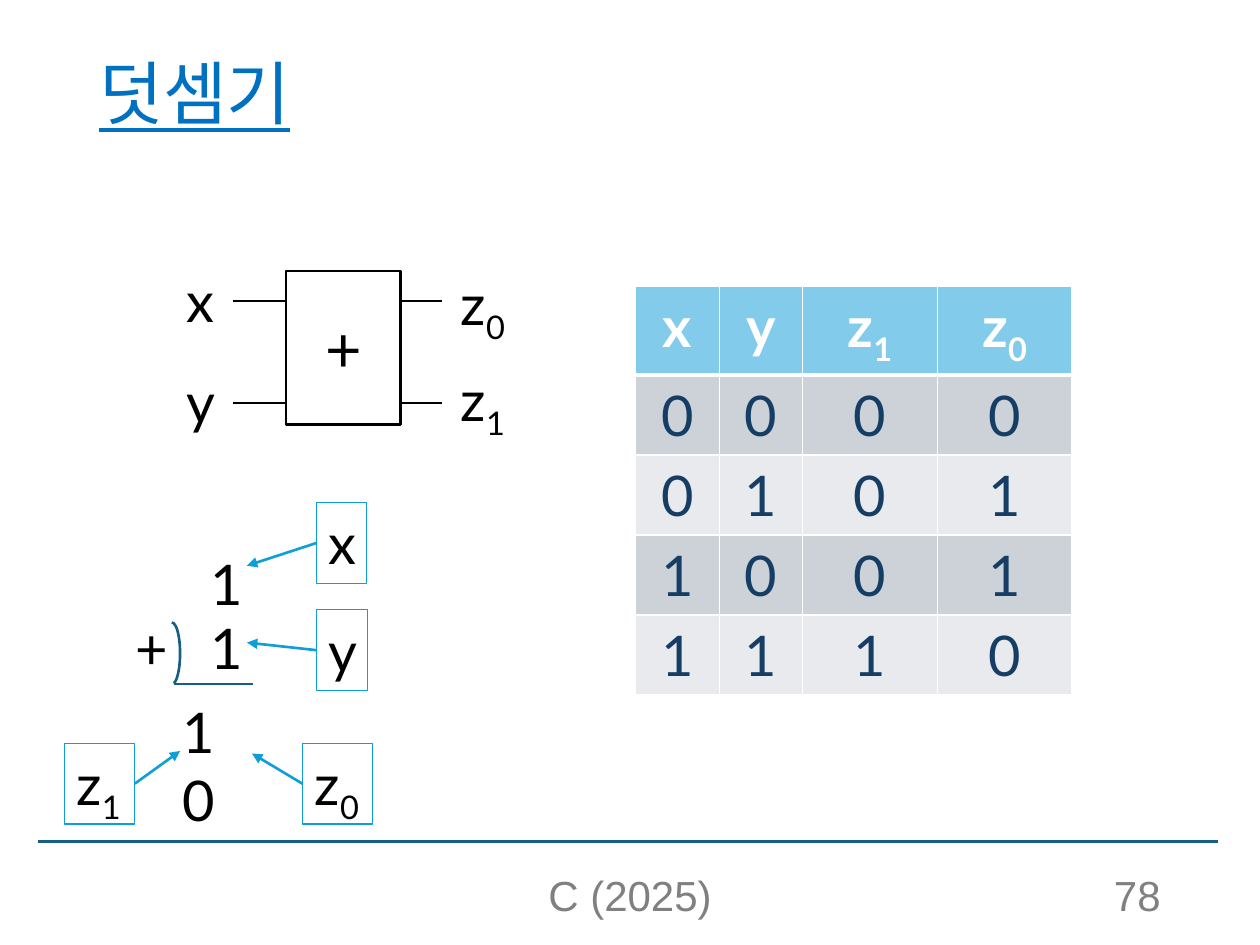
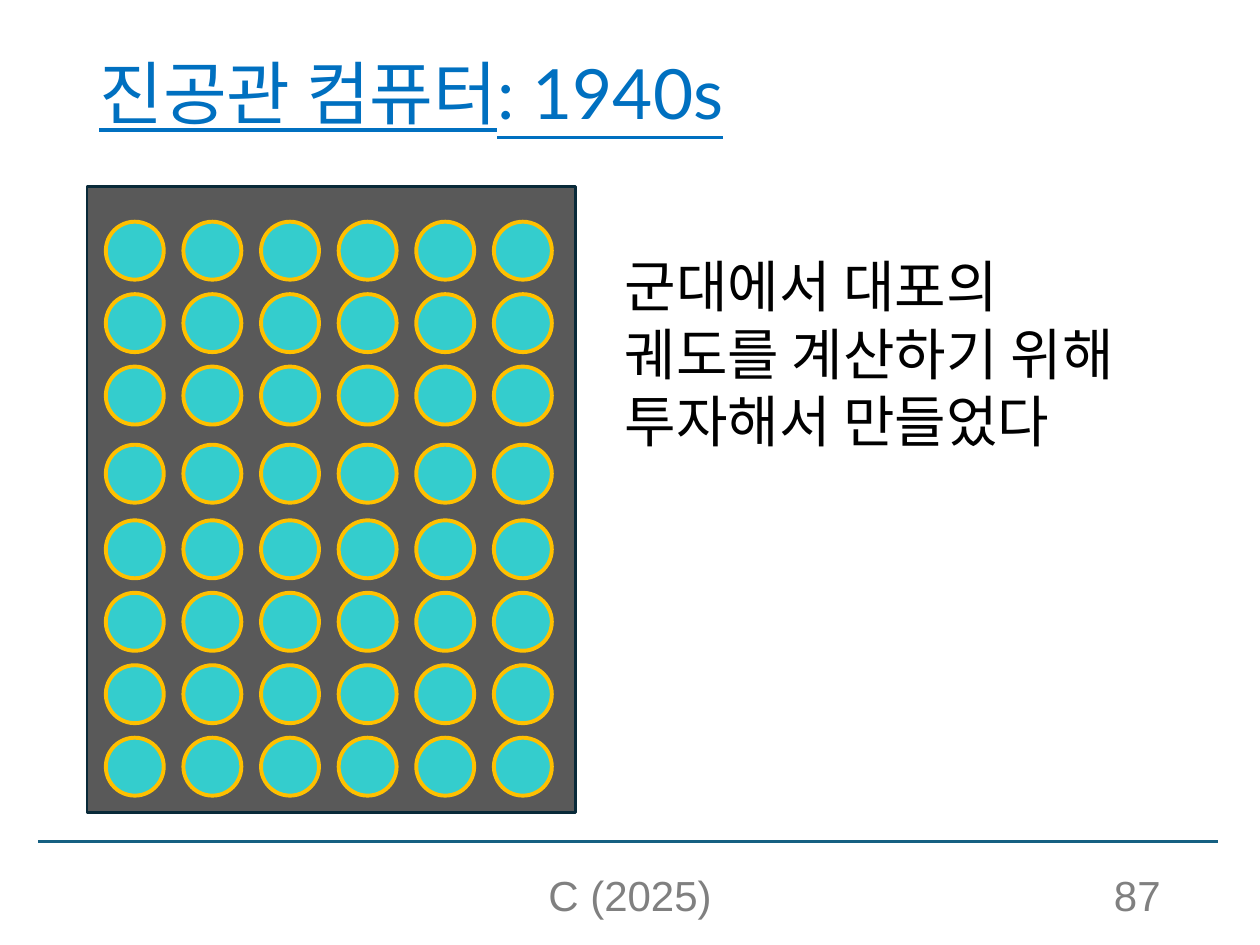
from dataclasses import dataclass

from lxml import etree
from pptx import Presentation
from pptx.dml.color import RGBColor
from pptx.enum.shapes import MSO_CONNECTOR, MSO_SHAPE
from pptx.enum.text import MSO_ANCHOR, MSO_AUTO_SIZE, PP_ALIGN
from pptx.oxml.ns import qn
from pptx.util import Inches, Pt

LEFT, CENTER, RIGHT = PP_ALIGN.LEFT, PP_ALIGN.CENTER, PP_ALIGN.RIGHT
TOP, MIDDLE, BOTTOM = MSO_ANCHOR.TOP, MSO_ANCHOR.MIDDLE, MSO_ANCHOR.BOTTOM
RECT, OVAL, ARC = MSO_SHAPE.RECTANGLE, MSO_SHAPE.OVAL, MSO_SHAPE.ARC
STRAIGHT = MSO_CONNECTOR.STRAIGHT
LEFT_SIDE, RIGHT_SIDE = 1, 3


@dataclass(frozen=True)
class Theme:
    font: str = "Lato"
    footer_font: str = "Arial"
    title_size: float = 39.6
    symbol_size: float = 36
    text_size: float = 32
    footer_size: float = 24
    thin: float = 0.75
    line: float = 1.5
    ring: float = 2.25
    black: str = "000000"
    white: str = "FFFFFF"
    title: str = "0070C0"
    footer: str = "808080"
    rule: str = "156082"
    accent: str = "0F9ED5"
    table_head: str = "83CBEB"
    table_text: str = "163E64"
    table_bands: tuple = ("CCD2D8", "E8EAED")
    cabinet: str = "595959"
    cabinet_edge: str = "092A39"
    tube: str = "25FFFF"
    tube_edge: str = "FFC000"


T = Theme()


def rgb(color):
    return RGBColor.from_string(color)


def write(tf, text, size=T.text_size, color=T.black, font=T.font, align=LEFT, bold=False):
    """Write one paragraph; what follows an underscore becomes a subscript."""
    p = tf.paragraphs[0]
    p.alignment = align
    base, _, sub = text.partition("_")
    p.add_run().text = base
    if sub:
        r = p.add_run()
        r.text = sub
        r._r.get_or_add_rPr().set("baseline", "-25000")
    p.font.name, p.font.size, p.font.bold = font, Pt(size), bold
    p.font.color.rgb = rgb(color)
    return p


def add_text(s, text, x, y, w, h, anchor=TOP, **style):
    tf = s.shapes.add_textbox(Inches(x), Inches(y), Inches(w), Inches(h)).text_frame
    tf.word_wrap = True
    tf.vertical_anchor = anchor
    return write(tf, text, **style)


def add_shape(s, kind, x, y, w, h, fill, line, width=T.line):
    sp = s.shapes.add_shape(kind, Inches(x), Inches(y), Inches(w), Inches(h))
    sp.shadow.inherit = False
    if fill:
        sp.fill.solid()
        sp.fill.fore_color.rgb = rgb(fill)
    else:
        sp.fill.background()
    if line:
        sp.line.color.rgb = rgb(line)
        sp.line.width = Pt(width)
    else:
        sp.line.fill.background()
    return sp


def add_label(s, text, x, y, w=0.44, border=None):
    """Add a one-line label that fits its text."""
    sp = add_shape(s, RECT, x, y, w, 0.64, None, border, T.thin)
    tf = sp.text_frame
    tf.word_wrap = False
    tf.auto_size = MSO_AUTO_SIZE.SHAPE_TO_FIT_TEXT
    tf.vertical_anchor = TOP
    write(tf, text)
    return sp


def add_line(s, x1, y1, x2, y2, color, arrow=False):
    c = s.shapes.add_connector(STRAIGHT, Inches(x1), Inches(y1), Inches(x2), Inches(y2))
    c.line.color.rgb = rgb(color)
    c.line.width = Pt(T.line)
    if arrow:
        etree.SubElement(c.line._get_or_add_ln(), qn("a:tailEnd"), type="triangle")
    etree.SubElement(c._element.spPr, qn("a:effectLst"))
    return c


def add_frame(prs, title, number):
    """Add a slide with its title, rule and footer."""
    s = prs.slides.add_slide(prs.slide_layouts[6])
    add_line(s, 0.3, 6.68, 9.67, 6.68, T.rule)
    p = add_text(s, title, 0.69, 0.4, 9.31, 0.74, MIDDLE, size=T.title_size, color=T.title)
    p.line_spacing = 0.9
    p.font.underline = True
    for text, x, w, align in (("C (2025)", 3.31, 3.38, CENTER), (str(number), 7.06, 2.25, RIGHT)):
        add_text(s, text, x, 6.95, w, 0.4, BOTTOM, size=T.footer_size,
                 color=T.footer, font=T.footer_font, align=align)
    return s


def add_adder_block(s, x, y):
    for text, dx, dy, w in (("x", 0, 0, 0.4), ("y", 0, 0.8, 0.41),
                            ("z_0", 2.18, 0.02, 0.56), ("z_1", 2.18, 0.78, 0.56)):
        add_label(s, text, x + dx, y + dy, w)
    for dy in (0.32, 1.13):
        for start, end in ((0.47, 0.89), (1.8, 2.13)):
            add_line(s, x + start, y + dy, x + end, y + dy, T.black)
    adder = add_shape(s, RECT, x + 0.89, y + 0.08, 0.91, 1.22, T.white, T.black)
    adder.text_frame.vertical_anchor = MIDDLE
    write(adder.text_frame, "+", size=T.symbol_size, align=CENTER)


def add_long_addition(s, x, y):
    """Add the written sum, with arrows from the variable names to its digits."""
    for text, dx, dy in (("1", 1.06, 0.32), ("1", 1.06, 0.83), ("+", 0.47, 0.83)):
        add_label(s, text, x + dx, y + dy)
    add_text(s, "10", x + 0.84, y + 1.5, 0.68, 0.64)
    add_line(s, x + 0.87, y + 1.44, x + 1.5, y + 1.44, T.rule)
    arc = add_shape(s, ARC, x + 0.79, y + 0.95, 0.13, 0.49, None, T.rule)
    arc.adjustments[0], arc.adjustments[1] = 162, 51.81

    names = (("x", 2, 0, 0.4, LEFT_SIDE, 1.45, 0.5),
             ("y", 2, 0.85, 0.41, LEFT_SIDE, 1.45, 1.11),
             ("z_1", 0, 1.91, 0.56, RIGHT_SIDE, 0.92, 1.97),
             ("z_0", 1.89, 1.91, 0.56, LEFT_SIDE, 1.49, 1.99))
    for text, dx, dy, w, side, tip_x, tip_y in names:
        name = add_label(s, text, x + dx, y + dy, w, T.accent)
        start_x = dx + (w if side == RIGHT_SIDE else 0)
        arrow = add_line(s, x + start_x, y + dy + 0.32, x + tip_x, y + tip_y, T.accent, True)
        arrow.begin_connect(name, side)


def set_borders(cell, top, bottom):
    tcPr = cell._tc.get_or_add_tcPr()
    for side, width in (("L", 1), ("R", 1), ("T", top), ("B", bottom)):
        ln = etree.SubElement(tcPr, qn(f"a:ln{side}"), w=str(Pt(width)))
        fill = etree.SubElement(ln, qn("a:solidFill"))
        etree.SubElement(fill, qn("a:srgbClr"), val=T.white)


def add_truth_table(s, x, y):
    rows = [("x", "y", "z_1", "z_0")]
    rows += [(a, b, a & b, a ^ b) for a in (0, 1) for b in (0, 1)]
    widths = (0.67, 0.66, 1.07, 1.07)
    table = s.shapes.add_table(len(rows), len(widths), Inches(x), Inches(y),
                               Inches(sum(widths)), Inches(0.58 * len(rows))).table
    for column, w in zip(table.columns, widths):
        column.width = Inches(w)
    for i, row in enumerate(rows):
        head = i == 0
        for j, value in enumerate(row):
            cell = table.cell(i, j)
            set_borders(cell, 3 if i == 1 else 1, 3 if head else 1)
            cell.fill.solid()
            cell.fill.fore_color.rgb = rgb(T.table_head if head else T.table_bands[(i - 1) % 2])
            write(cell.text_frame, str(value), align=CENTER, bold=head,
                  color=T.white if head else T.table_text)


def add_tube_cabinet(s, x, y):
    add_shape(s, RECT, x, y, 3.88, 4.97, T.cabinet, T.cabinet_edge)
    pitch_x, pitch_y = 0.616, 0.575
    row_tops = [0.28 + pitch_y * i for i in range(3)] + [2.05]
    row_tops += [2.65 + pitch_y * i for i in range(4)]
    for dy in row_tops:
        for col in range(6):
            tube = add_shape(s, OVAL, x + 0.15 + pitch_x * col, y + dy, 0.46, 0.46,
                             T.tube, T.tube_edge, T.ring)
            color = tube._element.spPr.find(qn("a:solidFill"))[0]
            etree.SubElement(color, qn("a:alpha"), val="70000")


def build_adder_slide(prs):
    s = add_frame(prs, "덧셈기", 78)
    add_truth_table(s, 5.04, 2.27)
    add_adder_block(s, 1.38, 2.07)
    add_long_addition(s, 0.51, 3.99)


def build_tube_slide(prs):
    s = add_frame(prs, "진공관 컴퓨터: 1940s", 87)
    add_tube_cabinet(s, 0.69, 1.48)
    add_text(s, "군대에서 대포의 궤도를 계산하기 위해 투자해서 만들었다", 4.86, 1.95, 4.45, 1.72)


def main():
    prs = Presentation()
    prs.slide_width, prs.slide_height = Inches(10), Inches(7.5)
    build_adder_slide(prs)
    build_tube_slide(prs)
    prs.save("out.pptx")


if __name__ == "__main__":
    main()
